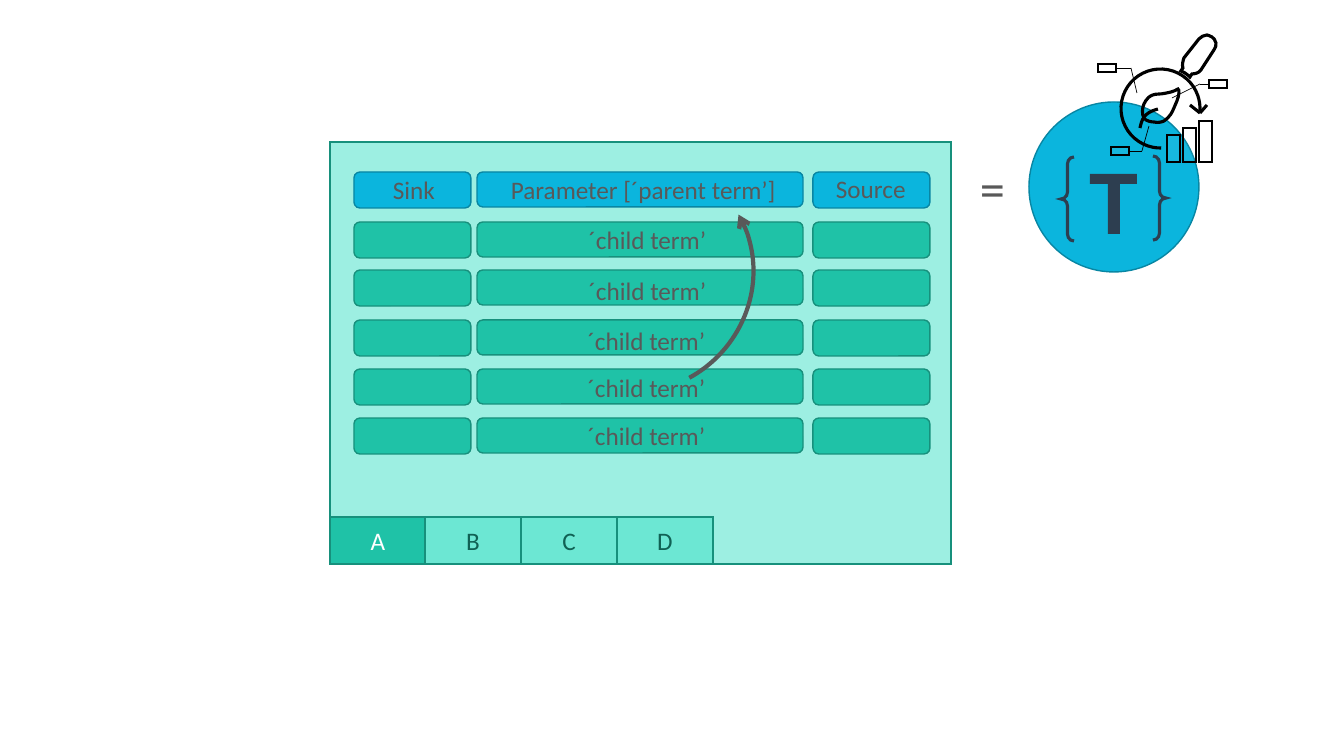
from lxml import etree
from pptx import Presentation
from pptx.dml.color import RGBColor
from pptx.enum.shapes import MSO_CONNECTOR, MSO_SHAPE as SHAPE
from pptx.enum.text import MSO_ANCHOR, PP_ALIGN as ALIGN
from pptx.oxml.ns import qn
from pptx.util import Emu, Pt

PX = 914400 / 100.8
COLORS = {
    "mint": "9DEFE2", "aqua": "6CE7D3", "teal": "1FC2A7", "teal_line": "17907C",
    "teal_text": "106154", "blue": "0BB5DD", "blue_line": "0886A3",
    "gray": "595959", "navy": "2D3E50", "black": "000000", "white": "FFFFFF",
}
LEAF = [(54, 88), (52, 85, 52, 78, 54, 74), (56, 70, 59, 64, 69, 64),
        (72, 64, 77, 63, 81, 62), (84, 62, 87, 59, 88, 59),
        (89, 59, 89, 61, 89, 63), (89, 65, 88, 68, 87, 71),
        (86, 73, 83, 81, 81, 84), (79, 87, 77, 89, 74, 91),
        (72, 92, 68, 93, 64, 92), (61, 92, 56, 91, 54, 88)]
STEM = [(50, 98), (52, 90, 53, 83, 68, 79)]
HANDLE = [(117, 5), (118, 5, 120, 6, 122, 7), (124, 8, 125, 10, 126, 13),
          (126, 15, 126, 18, 124, 20), (111, 40), (109, 43, 105, 44, 102, 44),
          (100, 47), (99, 46), (98, 45, 96, 44, 95, 43), (91, 41), (93, 38),
          (92, 35, 93, 31, 94, 28), (109, 9), (111, 7, 114, 5, 117, 5)]
LETTER_T = [(0, 0), (47, 0), (47, 10), (30, 10), (30, 60), (18, 60), (18, 10), (0, 10)]
ROWS = [(30, 27), (80, 77), (128, 128), (178, 178), (227, 225), (276, 273)]


def px(n):
    return Emu(round(n * PX))


def rgb(name):
    return RGBColor.from_string(COLORS[name])


def style(sp, fill, line, width=1):
    sp.shadow.inherit = False
    if fill:
        sp.fill.solid()
        sp.fill.fore_color.rgb = rgb(fill)
    else:
        sp.fill.background()
    if line:
        sp.line.color.rgb = rgb(line)
        sp.line.width = Pt(width)
        etree.SubElement(sp.line._get_or_add_ln(), qn("a:miter"), lim="800000")
    else:
        sp.line.fill.background()
    return sp


def add_box(shapes, kind, x, y, w, h, fill, line, width=1):
    sp = shapes.add_shape(kind, px(x), px(y), px(w), px(h))
    return style(sp, fill, line, width)


def add_arc(shapes, box, rotation, angles, line, width):
    sp = add_box(shapes, SHAPE.ARC, *box, None, line, width)
    sp.rotation = rotation
    for i, angle in enumerate(angles):
        sp.adjustments[i] = angle * 0.6
    return sp


def add_line(shapes, x1, y1, x2, y2, width):
    c = shapes.add_connector(MSO_CONNECTOR.STRAIGHT, px(x1), px(y1), px(x2), px(y2))
    c.line.color.rgb = rgb("black")
    c.line.width = Pt(width)
    etree.SubElement(c._element.spPr, qn("a:effectLst"))


def add_outline(shapes, x, y, steps, fill, line, closed=True):
    points = [(px(x + a), px(y + b)) for step in steps for a, b in zip(step[::2], step[1::2])]
    fb = shapes.build_freeform(*points[0], scale=1.0)
    fb.add_line_segments(points[1:], close=closed)
    sp = fb.convert_to_shape()
    segments = iter(list(sp._element.spPr.iter(qn("a:lnTo"))))
    for step in steps[1:]:
        segment = next(segments)
        if len(step) == 6:
            curve = etree.Element(qn("a:cubicBezTo"))
            segment.addprevious(curve)
            for part in (segment, next(segments), next(segments)):
                curve.append(part[0])
                part.getparent().remove(part)
    return style(sp, fill, line, 2.25)


def set_text(sp, text, color, size=18, align=ALIGN.CENTER):
    tf = sp.text_frame
    tf.text = text
    p = tf.paragraphs[0]
    p.alignment = align
    font = p.runs[0].font
    font.name, font.size, font.color.rgb = "Calibri", Pt(size), rgb(color)
    return tf


def add_label(s, x, y, w, h, text, size=18, align=ALIGN.CENTER, wrap=True):
    sp = s.shapes.add_textbox(px(x), px(y), px(w), px(h))
    set_text(sp, text, "gray", size, align).word_wrap = wrap


def add_tabs(s, x, y, w, h):
    for i, name in enumerate("ABCD"):
        fill, color = ("aqua", "teal_text") if i else ("teal", "white")
        left = x + i * w // 4
        sp = add_box(s.shapes, SHAPE.RECTANGLE, left, y, 96, h, fill, "teal_line")
        set_text(sp, name, color).vertical_anchor = MSO_ANCHOR.MIDDLE


def add_sheet(s, x, y, w, h):
    add_box(s.shapes, SHAPE.RECTANGLE, x, y, w, h, "mint", "teal_line")
    add_tabs(s, x, y + h - 47, 383, 47)
    for row, (top, label_top) in enumerate(ROWS):
        fill, line = ("teal", "teal_line") if row else ("blue", "blue_line")
        for left, width, height in ((24, 117, 36), (147, 326, 35), (483, 117, 36)):
            add_box(s.shapes, SHAPE.ROUNDED_RECTANGLE, x + left, y + top, width, height, fill, line)
        if row:
            left = 210 if row < 3 else 209
            add_label(s, x + left, y + label_top, 215, 40, "´child term’")
    headers = (("Sink", 53, 27, 63), ("Parameter [´parent term’]", 171, 27, 288),
               ("Source", 496, 26, 91))
    for text, left, top, width in headers:
        add_label(s, x + left, y + top, width, 40, text, align=ALIGN.LEFT, wrap=False)
    arc = add_arc(s.shapes, (x + 188, y + 20, 238, 228), 135, (252.23, 346.17), "gray", 3)
    arc._element.spPr.find(qn("a:xfrm")).set("flipH", "1")
    etree.SubElement(arc.line._get_or_add_ln(), qn("a:tailEnd"), type="arrow")


def add_term_badge(s, x, y, d):
    add_box(s.shapes, SHAPE.OVAL, x, y, d, d, "blue", "blue_line")
    braces = s.shapes.add_group_shape().shapes
    for left, top, rotation in ((32, 55, 0), (124, 54, 180)):
        sp = add_box(braces, SHAPE.LEFT_BRACE, x + left, y + top, 13, 84, None, "navy", 2.25)
        sp.adjustments[0] = 0.53
        sp.rotation = rotation
    add_outline(s.shapes, x + 61, y + 72, LETTER_T, "navy", None)


def add_analysis_icon(s, x, y):
    shapes = s.shapes.add_group_shape().shapes
    tags = [(8, 34, 18, 8), (21, 117, 18, 8), (119, 50, 18, 8)]
    bars = [(77 + 16 * i, 105 - 7 * i, 13, 27 + 7 * i) for i in range(3)]
    for left, top, w, h in tags + bars:
        sp = add_box(shapes, SHAPE.RECTANGLE, x + left, y + top, w, h, "white", "black")
        clr = sp._element.spPr.find(qn("a:solidFill"))[0]
        etree.SubElement(clr, qn("a:alpha"), val="5000")
    leaders = [((26, 38), (41, 38), (47, 63)), ((40, 121), (52, 121), (59, 96)),
               ((119, 54), (110, 54), (82, 68))]
    arrowhead = ((117, 75), (110, 83), (100, 75))
    for line, width in [(leader, 0.5) for leader in leaders] + [(arrowhead, 2.25)]:
        for (x1, y1), (x2, y2) in zip(line, line[1:]):
            add_line(shapes, x + x1, y + y1, x + x2, y + y2, width)
    add_arc(shapes, (x + 31, y + 39, 79, 79), 161, (287.96, 202.27), "black", 2.25)
    add_outline(shapes, x, y, LEAF, None, "black")
    add_outline(shapes, x, y, STEM, None, "black", closed=False)
    add_outline(shapes, x, y, HANDLE, None, "black")


def main():
    prs = Presentation()
    prs.slide_width, prs.slide_height = px(1344), px(756)
    s = prs.slides.add_slide(prs.slide_layouts[6])
    add_sheet(s, 330, 142, 621, 422)
    add_term_badge(s, 1029, 102, 170)
    add_analysis_icon(s, 1090, 30)
    add_label(s, 970, 152, 45, 55, "=", 36, ALIGN.LEFT)
    prs.save("out.pptx")


if __name__ == "__main__":
    main()
